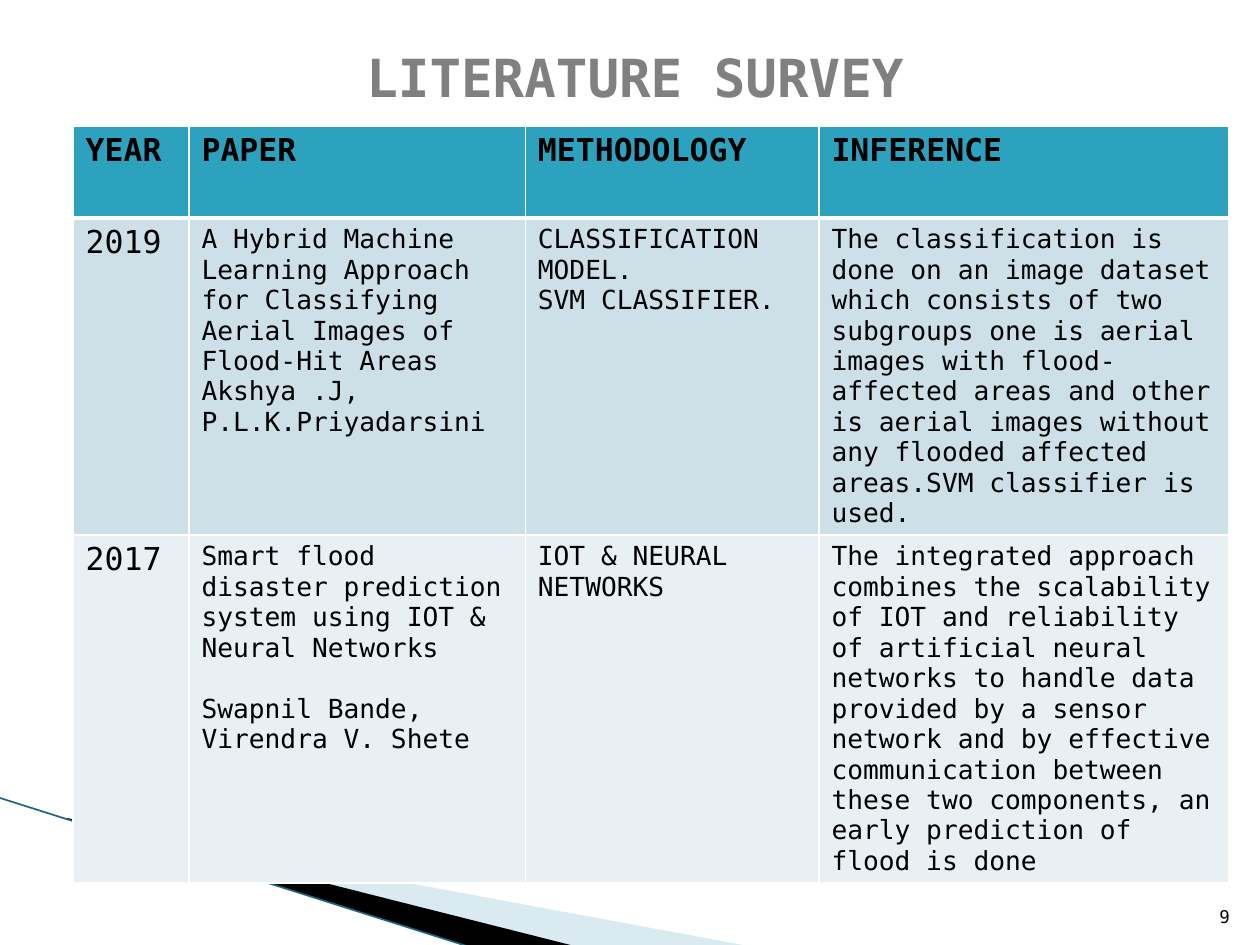
import pptx
import pptx.util
import pptx.dml.color
import pptx.enum.text
import pptx.enum.shapes
import pptx.oxml.ns
from lxml import etree

Inches = pptx.util.Inches
Pt = pptx.util.Pt
qn = pptx.oxml.ns.qn
ALIGN = pptx.enum.text.PP_ALIGN
ANCHOR = pptx.enum.text.MSO_ANCHOR

FONT = "DejaVu Sans Mono"
WIDTHS = (0.92, 2.67, 2.33, 3.25)
HEIGHTS = (0.73, 2.17, 2.36)
FILLS = ("2DA2BF", "CDE0E8", "E8F0F4")

# Each cell is a list of paragraphs: text, or (text, points before)
ROWS = (
    (["YEAR"], ["PAPER"], ["METHODOLOGY"], ["INFERENCE"]),
    (
        ["2019"],
        ["A Hybrid Machine Learning Approach for Classifying Aerial Images "
         "of Flood-Hit Areas",
         "Akshya .J, P.L.K.Priyadarsini"],
        ["CLASSIFICATION MODEL.", "SVM CLASSIFIER."],
        ["The classification is done on an image dataset which consists of "
         "two subgroups one is aerial images with flood-affected areas and "
         "other is aerial images without any flooded affected areas.SVM "
         "classifier is used."],
    ),
    (
        ["2017"],
        ["Smart flood disaster prediction system using IOT & Neural Networks",
         ("Swapnil Bande, Virendra V. Shete", 17.5)],
        ["IOT & NEURAL NETWORKS"],
        ["The integrated approach combines the scalability of IOT and "
         "reliability of artificial neural networks to handle data provided "
         "by a sensor network and by effective communication between these "
         "two components, an early prediction of flood is done"],
    ),
)


def paint(color, code):
    color.rgb = pptx.dml.color.RGBColor.from_string(code)


def apply(item, **values):
    for name, value in values.items():
        setattr(item, name, value)


def place(shape, box):
    names = ("left", "top", "width", "height")
    apply(shape, **dict(zip(names, map(Inches, box))))


def write(frame, paras, size, code="000000", bold=False, align=None):
    for num, para in enumerate(paras):
        text, gap = para if isinstance(para, tuple) else (para, 0)
        line = frame.add_paragraph() if num else frame.paragraphs[0]
        apply(line, alignment=align, space_before=Pt(gap))
        run = line.add_run()
        run.text = text
        apply(run.font, name=FONT, size=Pt(size), bold=bold)
        paint(run.font.color, code)


def wedge(slide, points, code, alpha=100):
    points = [(Inches(x), Inches(y)) for x, y in points]
    form = slide.shapes.build_freeform(*points[0], scale=1.0)
    form.add_line_segments(points[1:], close=True)
    shape = form.convert_to_shape()
    shape.shadow.inherit = False
    shape.fill.solid()
    paint(shape.fill.fore_color, code)
    shape.line.fill.background()
    if alpha < 100:
        tint = shape.fill._xPr.find(".//" + qn("a:srgbClr"))
        etree.SubElement(tint, qn("a:alpha"), val=str(alpha * 1000))


def corner(slide, box):
    left, top, wide, high = box
    base = top + high

    # Pale and black wedges
    wedge(slide, [(left + 0.56, top + 0.18), (left + wide, base),
                  (left + 4.57, base), (left + 0.56, top + 0.17)],
          "A0CBDC", 40)
    wedge(slide, [(left + 0.54, top + 0.16), (left + 4.58, base),
                  (left + 3.73, base), (left + 0.55, top + 0.17)], "000000")

    # Thin edge line
    ends = (left, top, left + 3.72, base)
    edge = slide.shapes.add_connector(
        pptx.enum.shapes.MSO_CONNECTOR.STRAIGHT, *map(Inches, ends))
    edge.line.width = Pt(0.95)
    paint(edge.line.color, "16697F")
    etree.SubElement(edge._element.spPr, qn("a:effectLst"))


def heading(slide, box):
    title = slide.shapes.title
    place(title, box)
    apply(title.text_frame, word_wrap=True, vertical_anchor=ANCHOR.MIDDLE)
    write(title.text_frame, ["LITERATURE SURVEY"], 30, "808080", True,
          ALIGN.CENTER)


def border(cell, foot):
    props = cell._tc.get_or_add_tcPr()
    for side, width in (("L", 1), ("R", 1), ("T", 1), ("B", foot)):
        line = etree.SubElement(props, qn("a:ln" + side), w=str(Pt(width)))
        fill = etree.SubElement(line, qn("a:solidFill"))
        etree.SubElement(fill, qn("a:srgbClr"), val="FFFFFF")


def survey(slide, box):
    table = slide.shapes.add_table(
        len(HEIGHTS), len(WIDTHS), *map(Inches, box)).table
    for col, width in zip(table.columns, WIDTHS):
        col.width = Inches(width)
    for num, texts in enumerate(ROWS):
        table.rows[num].height = Inches(HEIGHTS[num])
        head = num == 0
        for col, paras in enumerate(texts):
            cell = table.cell(num, col)
            border(cell, 3 if head else 1)
            cell.fill.solid()
            paint(cell.fill.fore_color, FILLS[num])
            size = 18 if head or col == 0 else 15
            write(cell.text_frame, paras, size, bold=head)


def number(slide, box):
    frame = slide.shapes.add_textbox(*map(Inches, box)).text_frame
    apply(frame, word_wrap=True, vertical_anchor=ANCHOR.BOTTOM,
          margin_left=0, margin_right=Inches(0.1))
    write(frame, ["9"], 10, align=ALIGN.RIGHT)


def main():
    deck = pptx.Presentation()
    apply(deck, slide_width=Inches(10), slide_height=Inches(7.5))
    slide = deck.slides.add_slide(deck.slide_layouts[5])
    corner(slide, (-0.01, 6.33, 5.96, 1.18))
    heading(slide, (0.58, 0.3, 8.92, 0.62))
    survey(slide, (0.58, 1, sum(WIDTHS), sum(HEIGHTS)))
    number(slide, (9.46, 7.01, 0.4, 0.4))
    deck.save("out.pptx")


if __name__ == "__main__":
    main()
